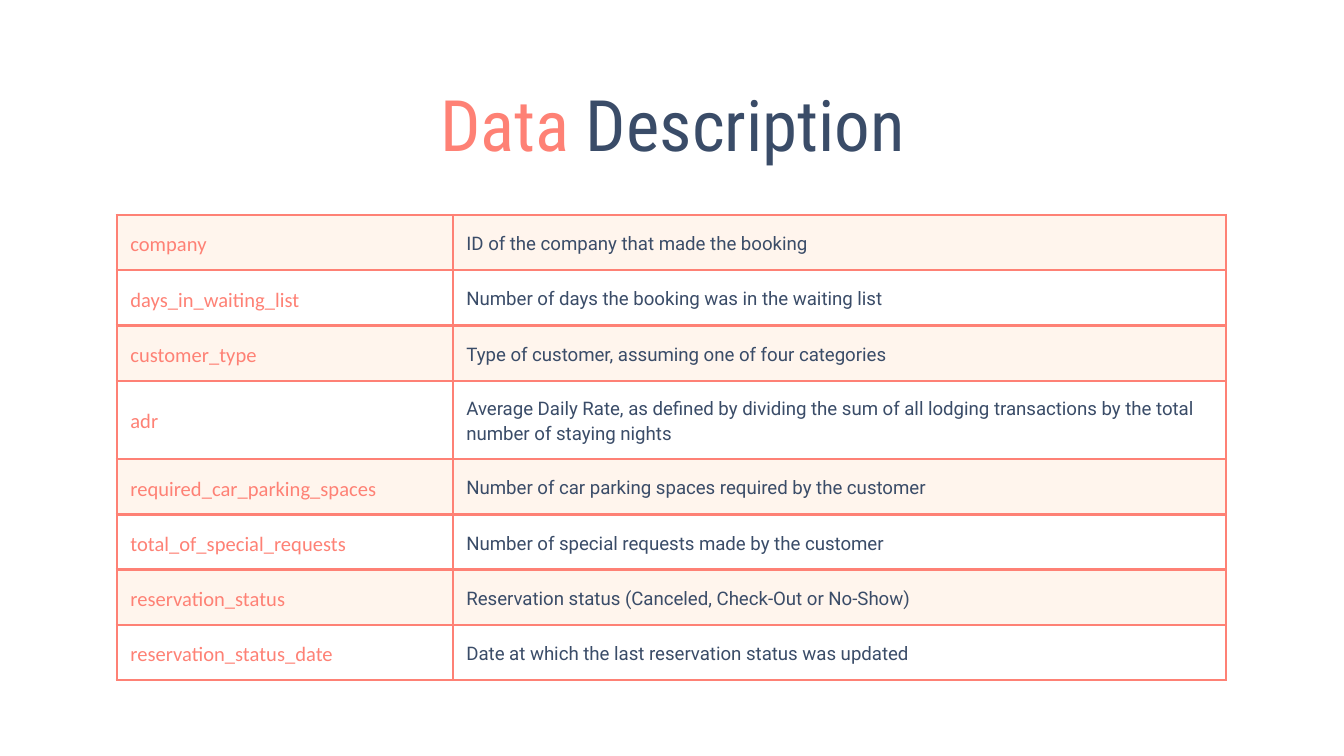
import pptx
import pptx.dml.color
import pptx.enum.text
import pptx.oxml
import pptx.oxml.ns
import pptx.util
from pptx.util import Inches

COLORS = {"coral": "FE8175", "navy": "3A4C68", "cream": "FFF5ED"}


def add_text(paragraph, text, *, font, size, color):
    run = paragraph.add_run()
    run.text = text
    run.font.name = font
    run.font.size = pptx.util.Pt(size)
    run.font.color.rgb = pptx.dml.color.RGBColor.from_string(COLORS[color])


def add_borders(cell, color, width):
    """Draw all four cell edges; borders must precede the fill in tcPr."""
    properties = cell._tc.get_or_add_tcPr()
    for index, edge in enumerate(("lnL", "lnR", "lnT", "lnB")):
        properties.insert(index, pptx.oxml.parse_xml(
            f'<a:{edge} {pptx.oxml.ns.nsdecls("a")} w="{pptx.util.Pt(width)}">'
            f'<a:solidFill><a:srgbClr val="{COLORS[color]}"/></a:solidFill>'
            f'</a:{edge}>'))


# Widescreen 16:9 slide
deck = pptx.Presentation()
deck.slide_width = Inches(10)
deck.slide_height = Inches(10) * 9 // 16
slide = deck.slides.add_slide(deck.slide_layouts[6])

# Title
title = slide.shapes.add_textbox(
    Inches(0.94), Inches(0.5), Inches(8.13), Inches(0.63)).text_frame
title.word_wrap = True
title.margin_left = title.margin_right = Inches(0.1)
title.margin_top = title.margin_bottom = Inches(0.1)
heading = title.paragraphs[0]
heading.alignment = pptx.enum.text.PP_ALIGN.CENTER
for words, color in (("Data ", "coral"), ("Description", "navy")):
    add_text(heading, words, font="Roboto Condensed", size=38, color=color)

# Field names and their descriptions
fields = [
    ("company", "ID of the company that made the booking"),
    ("days_in_waiting_list", "Number of days the booking was in the waiting list"),
    ("customer_type", "Type of customer, assuming one of four categories"),
    ("adr", "Average Daily Rate, as defined by dividing the sum of all lodging "
            "transactions by the total number of staying nights"),
    ("required_car_parking_spaces",
     "Number of car parking spaces required by the customer"),
    ("total_of_special_requests", "Number of special requests made by the customer"),
    ("reservation_status", "Reservation status (Canceled, Check-Out or No-Show)"),
    ("reservation_status_date",
     "Date at which the last reservation status was updated"),
]
column_formats = [
    {"font": "Calibri", "size": 11, "color": "coral"},
    {"font": "Roboto", "size": 10, "color": "navy"},
]

# Table
dictionary_frame = slide.shapes.add_table(
    len(fields), 2, Inches(0.87), Inches(1.6), Inches(8.25), Inches(3.35))
dictionary = dictionary_frame.table
dictionary.first_row = dictionary.horz_banding = False
dictionary.columns[0].width = Inches(2.5)
dictionary.columns[1].width = Inches(5.75)

for row, field in enumerate(fields):
    dictionary.rows[row].height = Inches(0.39)
    for column, (text, text_format) in enumerate(zip(field, column_formats)):
        cell = dictionary.cell(row, column)
        cell.margin_left = cell.margin_right = Inches(0.1)
        cell.margin_top = cell.margin_bottom = Inches(0.1)
        cell.vertical_anchor = pptx.enum.text.MSO_ANCHOR.MIDDLE
        if row % 2 == 0:
            cell.fill.solid()
            cell.fill.fore_color.rgb = pptx.dml.color.RGBColor.from_string(
                COLORS["cream"])
        else:
            cell.fill.background()
        add_borders(cell, "coral", 1.5)
        entry = cell.text_frame.paragraphs[0]
        entry.line_spacing = 1.15
        add_text(entry, text, **text_format)

# Row heights reset the frame, which is taller than their sum
dictionary_frame.height = Inches(3.35)

deck.save("out.pptx")
